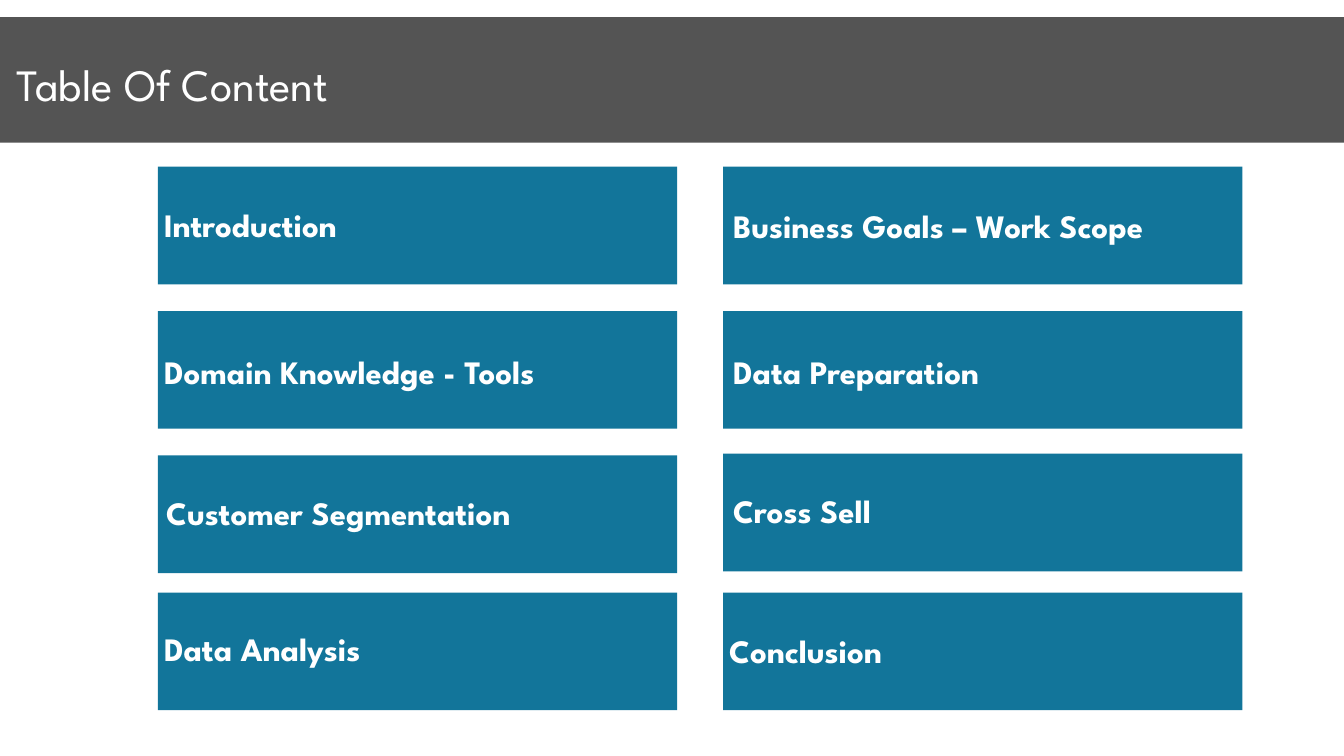
from pptx import Presentation
from pptx.dml.color import RGBColor
from pptx.enum.shapes import MSO_SHAPE
from pptx.util import Cm, Pt

TITLE = "Table Of Content"

# Each column: left edge, label indent, then (topic, card top, label top), all in cm
COLUMNS = [
    (5.97, 0.23, [
        ("Introduction", 6.3, 7.09),
        ("Domain Knowledge - Tools", 11.76, 12.62),
        ("Customer Segmentation", 17.22, 17.96),
        ("Data Analysis", 22.4, 23.11),
    ]),
    (27.33, 0.38, [
        ("Business Goals – Work Scope", 6.3, 7.11),
        ("Data Preparation", 11.76, 12.62),
        ("Cross Sell", 17.15, 17.88),
        ("Conclusion", 22.4, 23.16),
    ]),
]
# Topics whose label is nudged sideways within its column
NUDGES = {"Customer Segmentation": 0.08, "Conclusion": -0.15}

SLIDE_WIDTH, SLIDE_HEIGHT = 50.8, 28.58
CARD_WIDTH, CARD_HEIGHT = 19.63, 4.45
LABEL_WIDTH, LABEL_HEIGHT = 18.75, 2.0

THEME = {
    "font": "League Spartan",
    "banner": RGBColor(0x54, 0x54, 0x54),
    "card": RGBColor(0x12, 0x75, 0x9A),
    "text": RGBColor(0xFF, 0xFF, 0xFF),
    "title": {"size": 48, "leading": 70},
    "label": {"size": 35, "leading": 61.1, "bold": True},
}


def add_block(slide, left, top, width, height, color):
    block = slide.shapes.add_shape(
        MSO_SHAPE.RECTANGLE, Cm(left), Cm(top), Cm(width), Cm(height))
    block.shadow.inherit = False
    block.fill.solid()
    block.fill.fore_color.rgb = color
    block.line.fill.background()


def add_text(slide, text, left, top, width, height, *, size, leading, bold=False):
    box = slide.shapes.add_textbox(Cm(left), Cm(top), Cm(width), Cm(height))
    frame = box.text_frame
    frame.word_wrap = True
    frame.margin_left = frame.margin_top = 0
    frame.margin_right = frame.margin_bottom = 0
    paragraph = frame.paragraphs[0]
    paragraph.text = text
    paragraph.line_spacing = Pt(leading)
    font = paragraph.font
    font.name = THEME["font"]
    font.size = Pt(size)
    font.bold = bold
    font.color.rgb = THEME["text"]


def main():
    deck = Presentation()
    deck.slide_width, deck.slide_height = Cm(SLIDE_WIDTH), Cm(SLIDE_HEIGHT)
    slide = deck.slides.add_slide(deck.slide_layouts[6])

    add_block(slide, 0, 0.65, SLIDE_WIDTH, 4.74, THEME["banner"])
    add_text(slide, TITLE, 0.64, 1.7, 18.16, 2.39, **THEME["title"])

    for left, indent, topics in COLUMNS:
        for topic, card_top, label_top in topics:
            add_block(slide, left, card_top, CARD_WIDTH, CARD_HEIGHT, THEME["card"])
            label_left = left + indent + NUDGES.get(topic, 0)
            add_text(slide, topic, label_left, label_top,
                     LABEL_WIDTH, LABEL_HEIGHT, **THEME["label"])

    deck.save("out.pptx")


if __name__ == "__main__":
    main()
